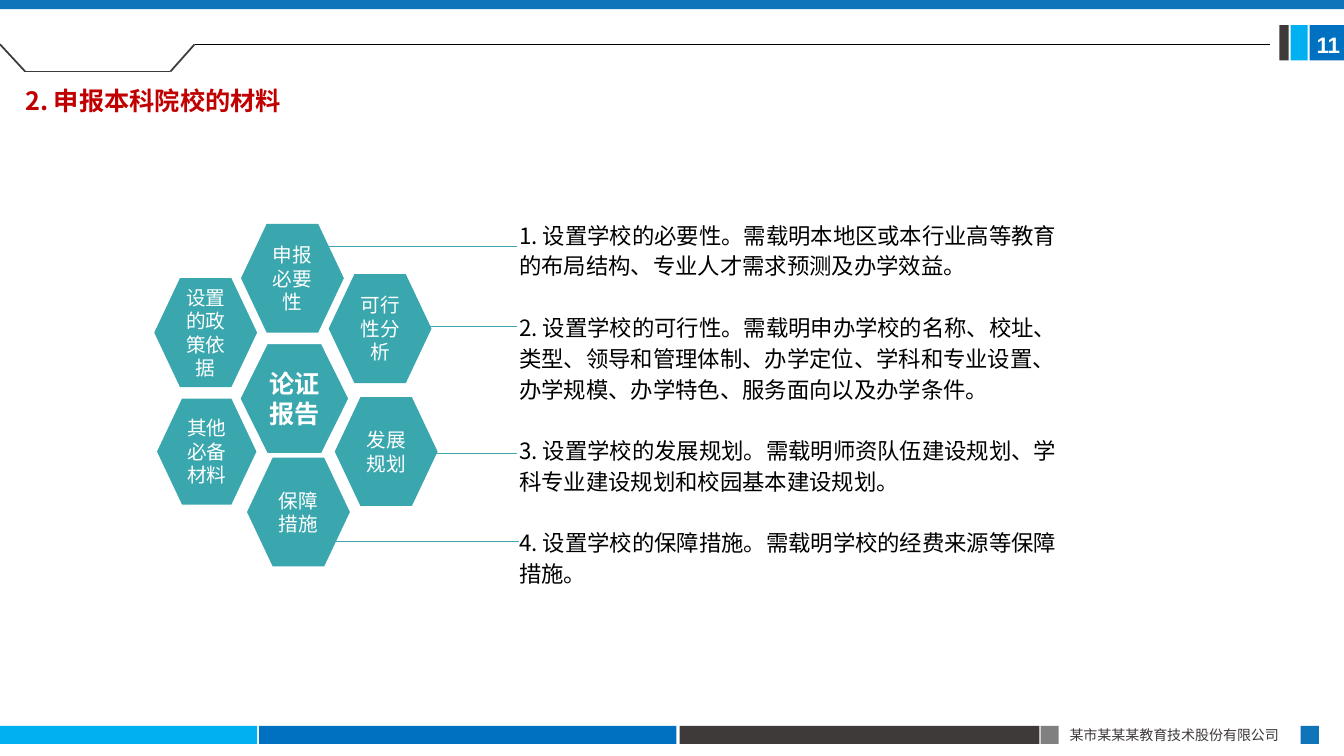
from dataclasses import dataclass

from pptx import Presentation
from pptx import util as u
from pptx.dml.color import RGBColor
from pptx.enum import shapes, text
from pptx.oxml.ns import qn


@dataclass(frozen=True)
class Theme:
    sans: str = "Noto Sans CJK SC"
    latin: str = "Arial"
    teal: str = "39A7AD"
    cyan: str = "00B0F0"
    blue: str = "0070C0"
    steel: str = "1074BB"
    dark: str = "3E3A39"
    gray: str = "808080"
    red: str = "C00000"
    black: str = "000000"
    white: str = "FFFFFF"
    title: int = 18
    body: int = 16
    label: int = 14
    footer: int = 10
    leading: int = 22


def write(tf, lines, font, size, color, bold=False, align=None, leading=None, gap=0):
    for i, line in enumerate(lines):
        p = tf.paragraphs[0] if i == 0 else tf.add_paragraph()
        pPr = p._p.get_or_add_pPr()
        pPr.set("marL", "0")
        pPr.set("indent", "0")
        pPr.append(pPr.makeelement(qn("a:buNone"), {}))
        p.alignment = align
        p.space_before = u.Pt(gap if i else 0)
        if leading:
            p.line_spacing = u.Pt(leading)
        r = p.add_run()
        r.text = line
        r.font.name = font
        r.font.size = u.Pt(size)
        r.font.bold = bold
        r.font.color.rgb = RGBColor.from_string(color)
        rPr = r._r.get_or_add_rPr()
        rPr.find(qn("a:latin")).addnext(rPr.makeelement(qn("a:ea"), {"typeface": font}))


class Deck:
    def __init__(self, theme):
        self.theme = theme
        self.prs = Presentation()
        self.prs.slide_width = u.Inches(13.33)
        self.prs.slide_height = u.Inches(7.5)
        self.s = self.prs.slides.add_slide(self.prs.slide_layouts[1])

    def shape(self, kind, x, y, w, h, fill, outline=None):
        sp = self.s.shapes.add_shape(kind, *map(u.Inches, (x, y, w, h)))
        sp.shadow.inherit = False
        sp.fill.solid()
        sp.fill.fore_color.rgb = RGBColor.from_string(fill)
        if outline:
            sp.line.color.rgb = RGBColor.from_string(outline)
            sp.line.width = u.Pt(2)
        else:
            sp.line.fill.background()
        return sp

    def bar(self, x, y, w, h, fill):
        return self.shape(shapes.MSO_SHAPE.RECTANGLE, x, y, w, h, fill)

    def hexagon(self, x, y, lines, w=1.02, h=1.08, size=None, bold=False, outline=None):
        t = self.theme
        sp = self.shape(shapes.MSO_SHAPE.HEXAGON, x, y, w, h, t.teal, outline)
        tf = sp.text_frame
        tf.word_wrap = True
        tf.vertical_anchor = text.MSO_ANCHOR.MIDDLE
        write(tf, lines, t.sans, size or t.label, t.white, bold, text.PP_ALIGN.CENTER)

    def line(self, x1, y1, x2, y2, color, width):
        c = self.s.shapes.add_connector(
            shapes.MSO_CONNECTOR.STRAIGHT, *map(u.Inches, (x1, y1, x2, y2)))
        c.line.color.rgb = RGBColor.from_string(color)
        c.line.width = u.Pt(width)
        spPr = c._element.spPr
        spPr.append(spPr.makeelement(qn("a:effectLst"), {}))

    def textbox(self, x, y, w, h, line, font, size, color, bold=False):
        sp = self.s.shapes.add_textbox(*map(u.Inches, (x, y, w, h)))
        sp.text_frame.word_wrap = True
        write(sp.text_frame, [line], font, size, color, bold)

    def placeholder(self, idx, x, y, w, h, lines, size, color, **fmt):
        sp = self.s.placeholders[idx]
        sp.left, sp.top, sp.width, sp.height = map(u.Inches, (x, y, w, h))
        tf = sp.text_frame
        tf.word_wrap = True
        tf.auto_size = text.MSO_AUTO_SIZE.NONE
        tf.vertical_anchor = text.MSO_ANCHOR.TOP
        write(tf, lines, self.theme.sans, size, color, align=text.PP_ALIGN.LEFT, **fmt)


def main():
    t = Theme()
    d = Deck(t)

    footer_y, footer_h = 7.2, 0.18
    for x, w, fill in [(0, 2.55, t.cyan), (2.57, 4.14, t.blue), (6.74, 3.57, t.dark),
                       (10.32, 0.18, t.gray), (12.9, 0.18, t.steel)]:
        d.bar(x, footer_y, w, footer_h, fill)
    d.textbox(10.51, 7.16, 2.4, 0.27, "某市某某某教育技术股份有限公司",
              t.sans, t.footer, t.dark)

    for x, w, fill in [(12.99, 0.34, t.blue), (12.8, 0.17, t.cyan), (12.69, 0.09, t.dark)]:
        d.bar(x, 0.25, w, 0.35, fill)
    d.bar(0, 0, 13.33, 0.09, t.steel)
    d.textbox(12.96, 0.26, 0.5, 0.37, "11", t.latin, t.body, t.white, bold=True)

    tab = [(0, 0.44), (0.25, 0.71), (1.69, 0.71), (1.93, 0.44)]
    for start, end in zip(tab, tab[1:]):
        d.line(*start, *end, t.dark, 1.25)
    d.line(1.93, 0.44, 12.6, 0.44, t.black, 0.5)

    d.placeholder(0, 0.15, 0.8, 2.78, 0.7, ["2. 申报本科院校的材料"],
                  t.title, t.red, bold=True)
    d.placeholder(1, 5.05, 2.11, 5.67, 3.8, [
        "1. 设置学校的必要性。需载明本地区或本行业高等教育的布局结构、专业人才需求预测及办学效益。",
        "2. 设置学校的可行性。需载明申办学校的名称、校址、类型、领导和管理体制、办学定位、"
        "学科和专业设置、办学规模、办学特色、服务面向以及办学条件。",
        "3. 设置学校的发展规划。需载明师资队伍建设规划、学科专业建设规划和校园基本建设规划。",
        "4. 设置学校的保障措施。需载明学校的经费来源等保障措施。",
    ], t.body, t.black, leading=t.leading, gap=t.leading)

    for x, y, label in [(1.53, 2.76, "设置的政策依据"), (2.45, 4.54, "保障措施"),
                        (3.32, 3.94, "发展规划"), (3.26, 2.72, "可行性分析")]:
        d.hexagon(x, y, [label])
    d.hexagon(1.54, 3.94, ["其他必备材料"], outline=t.white)
    d.hexagon(2.37, 3.4, ["论证报告"], 1.1, 1.11, t.title, True, t.white)
    d.hexagon(2.39, 2.22, ["申报", "必要性"])

    for x1, x2, y in [(3.24, 5.13, 2.45), (4.26, 5.13, 3.24),
                      (3.32, 5.15, 5.37), (4.26, 5.13, 4.5)]:
        d.line(x1, y, x2, y, t.teal, 0.75)

    d.prs.save("out.pptx")


if __name__ == "__main__":
    main()
